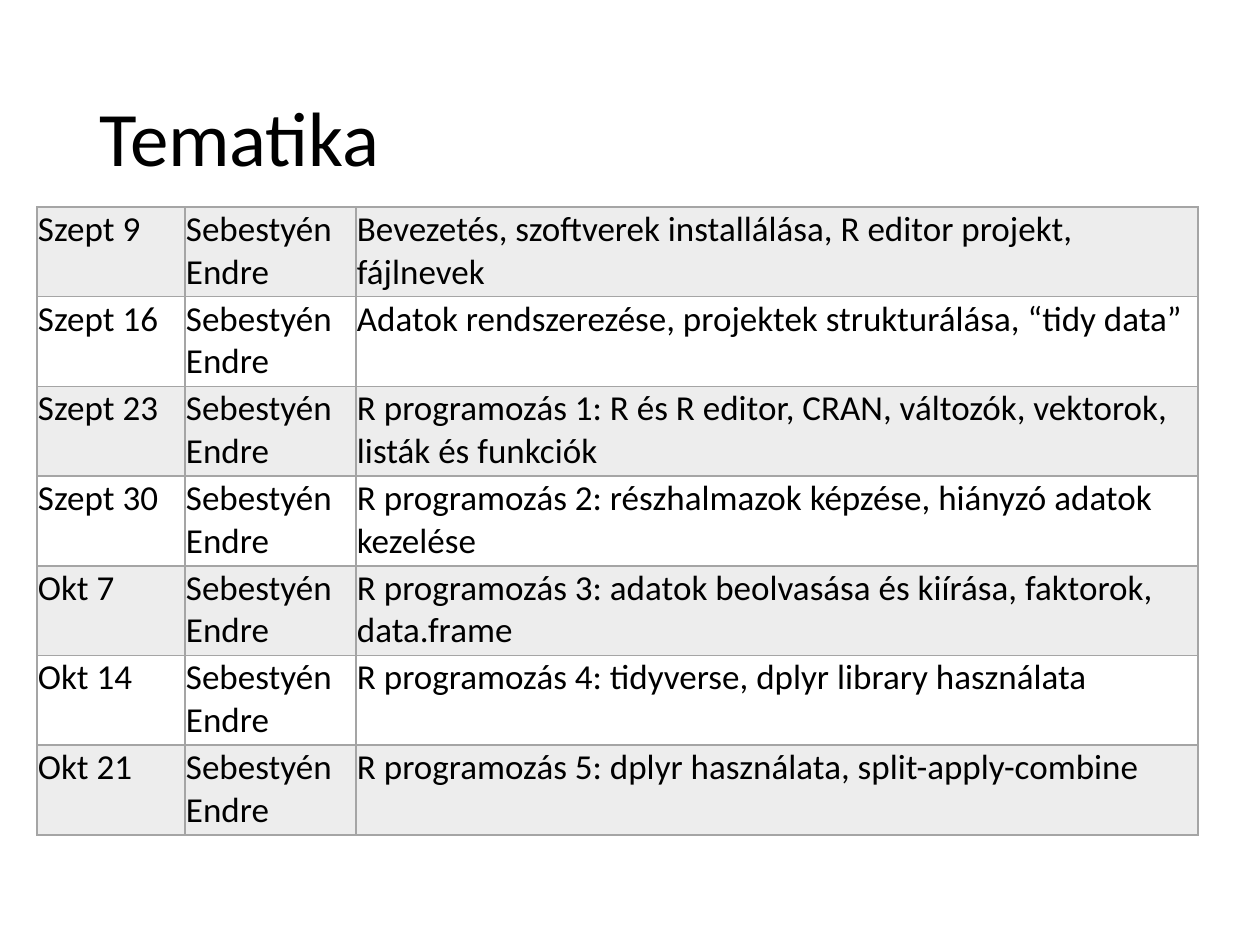
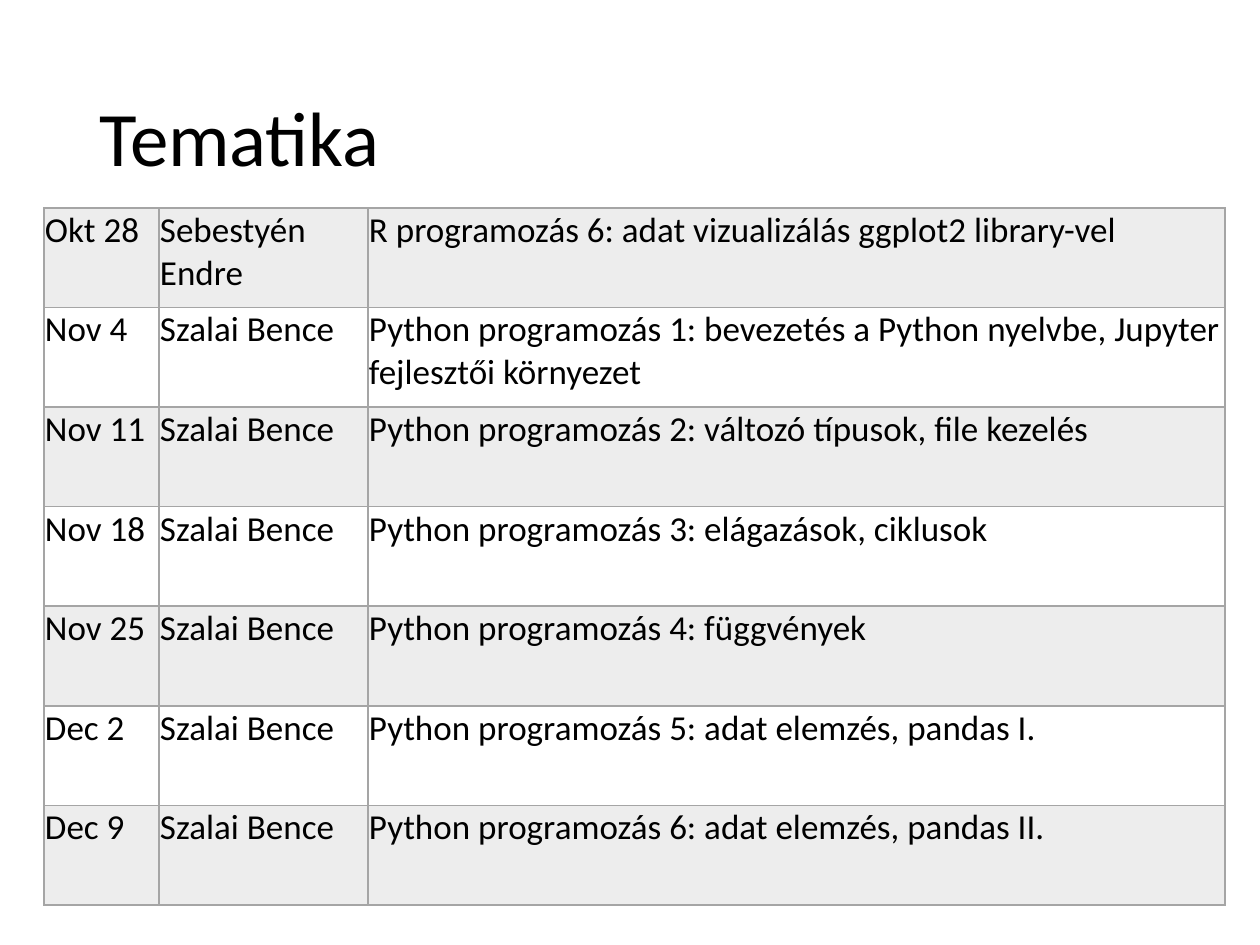
from typing import NamedTuple

from lxml import etree
from pptx import Presentation
from pptx.dml.color import RGBColor
from pptx.enum.text import MSO_ANCHOR
from pptx.oxml.ns import qn
from pptx.util import Pt

MIDDLE = MSO_ANCHOR.MIDDLE
EMU_PER_PX = 914400 / 126
SLIDE_W, SLIDE_H = 1260, 945
BLANK_LAYOUT = 6

COLORS = {"text": "000000", "grey": "A5A5A5"}
FONT = "Calibri"
TITLE = "Tematika"
TITLE_BOX = (87, 50, 1086, 183)
BAND_ALPHA = 20
BORDER_SIDES = ("a:lnL", "a:lnR", "a:lnT", "a:lnB")

ENDRE = "Sebestyén Endre"
BENCE = "Szalai Bence"


class Lesson(NamedTuple):
    date: str
    teacher: str
    topic: str


class Schedule(NamedTuple):
    left: int
    top: int
    height: int
    col_widths: tuple[int, ...]
    lessons: list[Lesson]


SCHEDULES = [
    Schedule(37, 207, 628, (148, 171, 842), [
        Lesson("Szept 9", ENDRE, "Bevezetés, szoftverek installálása, R editor projekt, fájlnevek"),
        Lesson("Szept 16", ENDRE, "Adatok rendszerezése, projektek strukturálása, “tidy data”"),
        Lesson("Szept 23", ENDRE, "R programozás 1: R és R editor, CRAN, változók, vektorok, listák és funkciók"),
        Lesson("Szept 30", ENDRE, "R programozás 2: részhalmazok képzése, hiányzó adatok kezelése"),
        Lesson("Okt 7", ENDRE, "R programozás 3: adatok beolvasása és kiírása, faktorok, data.frame"),
        Lesson("Okt 14", ENDRE, "R programozás 4: tidyverse, dplyr library használata"),
        Lesson("Okt 21", ENDRE, "R programozás 5: dplyr használata, split-apply-combine"),
    ]),
    Schedule(44, 208, 697, (115, 209, 857), [
        Lesson("Okt 28", ENDRE, "R programozás 6: adat vizualizálás ggplot2 library-vel"),
        Lesson("Nov 4", BENCE, "Python programozás 1: bevezetés a Python nyelvbe, Jupyter fejlesztői környezet"),
        Lesson("Nov 11", BENCE, "Python programozás 2: változó típusok, file kezelés"),
        Lesson("Nov 18", BENCE, "Python programozás 3: elágazások, ciklusok"),
        Lesson("Nov 25", BENCE, "Python programozás 4: függvények"),
        Lesson("Dec 2", BENCE, "Python programozás 5: adat elemzés, pandas I."),
        Lesson("Dec 9", BENCE, "Python programozás 6: adat elemzés, pandas II."),
    ]),
]


def px(n: int) -> int:
    return round(n * EMU_PER_PX)


def set_text(tf, text: str, size: int) -> None:
    tf.text = text
    font = tf.paragraphs[0].runs[0].font
    font.name = FONT
    font.size = Pt(size)
    font.color.rgb = RGBColor.from_string(COLORS["text"])


def add_title(s) -> None:
    tf = s.shapes.add_textbox(*map(px, TITLE_BOX)).text_frame
    tf.word_wrap = True
    tf.vertical_anchor = MIDDLE
    set_text(tf, TITLE, 44)
    tf.paragraphs[0].line_spacing = 0.9


def add_borders(cell) -> None:
    """Draw all four borders; call before filling, as the schema puts lines first."""
    tc_pr = cell._tc.get_or_add_tcPr()
    for side in BORDER_SIDES:
        ln = etree.SubElement(tc_pr, qn(side), w=str(Pt(1)))
        fill = etree.SubElement(ln, qn("a:solidFill"))
        etree.SubElement(fill, qn("a:srgbClr"), val=COLORS["grey"])


def fill_band(cell) -> None:
    cell.fill.solid()
    cell.fill.fore_color.rgb = RGBColor.from_string(COLORS["grey"])
    color = cell._tc.tcPr.find(f"{qn('a:solidFill')}/{qn('a:srgbClr')}")
    etree.SubElement(color, qn("a:alpha"), val=str(BAND_ALPHA * 1000))


def add_schedule(s, schedule: Schedule) -> None:
    lessons, widths = schedule.lessons, schedule.col_widths
    table = s.shapes.add_table(
        len(lessons), len(widths), px(schedule.left), px(schedule.top),
        px(sum(widths)), px(schedule.height)).table
    table.first_row = table.horz_banding = False
    for column, width in zip(table.columns, widths):
        column.width = px(width)
    for i, lesson in enumerate(lessons):
        for j, text in enumerate(lesson):
            cell = table.cell(i, j)
            cell.margin_left = cell.margin_right = cell.margin_top = px(1)
            cell.margin_bottom = 0
            set_text(cell.text_frame, text, 20)
            add_borders(cell)
            if i % 2 == 0:
                fill_band(cell)
            else:
                cell.fill.background()


def main() -> None:
    prs = Presentation()
    prs.slide_width, prs.slide_height = px(SLIDE_W), px(SLIDE_H)
    for schedule in SCHEDULES:
        s = prs.slides.add_slide(prs.slide_layouts[BLANK_LAYOUT])
        add_title(s)
        add_schedule(s, schedule)
    prs.save("out.pptx")


if __name__ == "__main__":
    main()
